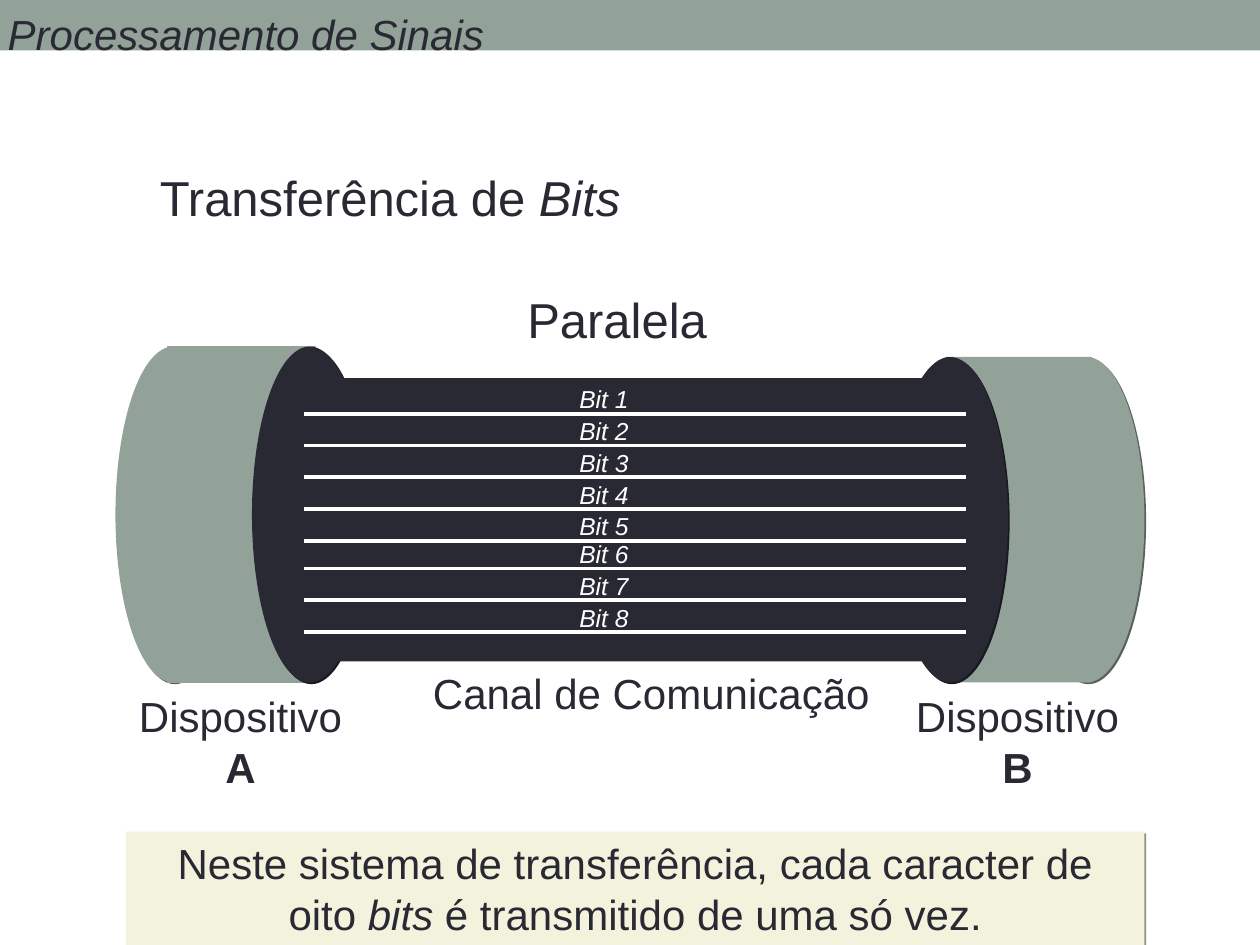
from lxml import etree
from pptx import Presentation
from pptx import util as u
from pptx.dml.color import RGBColor
from pptx.enum import shapes, text
from pptx.oxml.ns import qn

THEME = {
    "font": "Arial",
    "sage": "93A299", "sage_shadow": "58615C",
    "ink": "292934", "ink_shadow": "19191F",
    "cream": "F3F2DC", "cream_shadow": "929184",
    "white": "FFFFFF",
    "title": 28, "body": 24, "label": 14,
    "outline": 1, "wire": 2.25, "shadow_distance": 1.4,
}
COLUMNS, ROWS = 120, 90
LEFT, CENTER = text.PP_ALIGN.LEFT, text.PP_ALIGN.CENTER
RECTANGLE, OVAL = shapes.MSO_SHAPE.RECTANGLE, shapes.MSO_SHAPE.OVAL

HEADER = [[("Processamento de Sinais", "i")]]
TITLE = [[("Transferência de ", ""), ("Bits", "i")]]
MODE = [[("Paralela", "")]]
CHANNEL = [[("Canal de Comunicação", "")]]
SUMMARY = [
    [("Neste sistema de transferência, cada caracter de", "")],
    [("oito ", ""), ("bits", "i"), (" é transmitido de uma só vez.", "")],
]
DEVICES = [
    {"name": "A", "top": 33, "height": 32, "outer": 11, "body": 16,
     "inner": 24, "label": 12.05, "outline": "sage"},
    {"name": "B", "top": 34, "height": 31, "outer": 98, "body": 90,
     "inner": 85, "label": 86.05, "outline": None},
]
CAP_WIDTH, BODY_WIDTH = 11, 14
BIT_GROUPS = [
    (36, ["Bit 1", "Bit 2", "Bit 3", "Bit 4", "Bit 5"]),
    (50.75, ["Bit 6", "Bit 7", "Bit 8"]),
]
BIT_STEP, WIRE_DROP = 3.03, 3.4
WIRE_LEFT, WIRE_RIGHT = 29, 92

presentation = Presentation()
presentation.slide_width, presentation.slide_height = u.Inches(10), u.Inches(7.5)
slide = presentation.slides.add_slide(presentation.slide_layouts[6])


def color(name):
    return RGBColor.from_string(THEME[name])


def x(columns):
    return round(presentation.slide_width * columns / COLUMNS)


def y(rows):
    return round(presentation.slide_height * rows / ROWS)


def place(left, top, width, height):
    return x(left), y(top), x(width), y(height)


def add_shadow(shape, name):
    effects = shape._element.spPr.find(qn("a:effectLst"))
    shadow = etree.SubElement(
        effects, qn("a:outerShdw"), dist=str(u.Pt(THEME["shadow_distance"])),
        dir="2700000", algn="ctr", rotWithShape="0")
    etree.SubElement(shadow, qn("a:srgbClr"), val=THEME[name])


def add_block(kind, area, fill, shadow=False, outline=None):
    shape = slide.shapes.add_shape(kind, *place(*area))
    shape.shadow.inherit = False
    shape.fill.solid()
    shape.fill.fore_color.rgb = color(fill)
    if outline:
        shape.line.color.rgb = color(outline)
        shape.line.width = u.Pt(THEME["outline"])
    else:
        shape.line.fill.background()
    if shadow:
        add_shadow(shape, fill + "_shadow")
    return shape


def add_rule(left, right, row, weight):
    rule = slide.shapes.add_connector(
        shapes.MSO_CONNECTOR.STRAIGHT, x(left), y(row), x(right), y(row))
    rule.line.color.rgb = color("white")
    rule.line.width = u.Pt(THEME[weight])
    etree.SubElement(rule._element.spPr, qn("a:effectLst"))


def write(shape, lines, size, ink="ink", align=LEFT, wrap=False):
    frame = shape.text_frame
    frame.word_wrap = wrap
    frame.auto_size = text.MSO_AUTO_SIZE.SHAPE_TO_FIT_TEXT
    frame.vertical_anchor = text.MSO_ANCHOR.TOP
    for index, line in enumerate(lines):
        paragraph = frame.add_paragraph() if index else frame.paragraphs[0]
        paragraph.alignment = align
        for words, style in line:
            run = paragraph.add_run()
            run.text = words
            run.font.name = THEME["font"]
            run.font.size = u.Pt(THEME[size])
            run.font.color.rgb = color(ink)
            run.font.italic = style == "i"
            run.font.bold = style == "b"


def add_text(area, lines, size, ink="ink", align=LEFT):
    write(slide.shapes.add_textbox(*place(*area)), lines, size, ink, align)


def add_device(device):
    top, height = device["top"], device["height"]
    add_block(OVAL, (device["outer"], top, CAP_WIDTH, height), "sage", True)
    add_block(RECTANGLE, (device["body"], top, BODY_WIDTH, height), "sage",
              outline=device["outline"])
    add_block(OVAL, (device["inner"], top, CAP_WIDTH, height), "ink", True)
    add_text((device["label"], 65.22, 21.7, 10.8),
             [[("Dispositivo", "")], [(device["name"], "b")]], "body", align=CENTER)


add_block(RECTANGLE, (0, 0, COLUMNS, 4.8), "sage")
add_rule(0, COLUMNS, 5, "outline")
add_text((-0.48, 0.25, 47.8, 6), HEADER, "body", align=CENTER)
for device in DEVICES:
    add_device(device)
add_block(RECTANGLE, (29, 36, 62, 27), "ink")
add_text((40.05, 63, 44, 6), CHANNEL, "body")
add_text((14.05, 15.4, 46.4, 6.8), TITLE, "title")
add_text((49.05, 27, 19.5, 6.8), MODE, "title")
summary = add_block(RECTANGLE, (12, 79.22, 97, 10.8), "cream", True)
write(summary, SUMMARY, "body", align=CENTER, wrap=True)
for group_top, names in BIT_GROUPS:
    for index, name in enumerate(names):
        top = group_top + index * BIT_STEP
        add_rule(WIRE_LEFT, WIRE_RIGHT, top + WIRE_DROP, "wire")
        add_text((54, top, 7.1, 4.05), [[(name, "i")]], "label", "white")

presentation.save("out.pptx")
